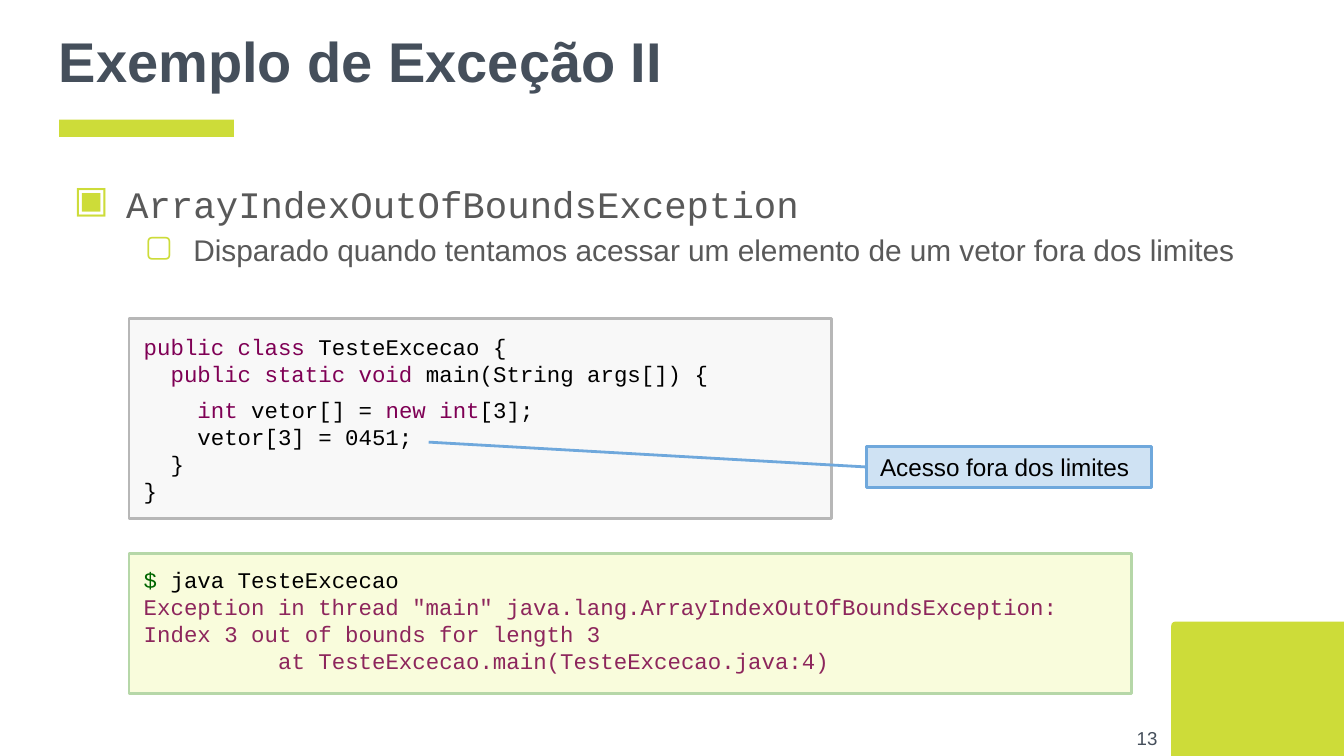
import pptx
import pptx.dml.color
import pptx.enum.shapes
import pptx.enum.text
import pptx.oxml.ns
import pptx.util
from lxml import etree

Inches = pptx.util.Inches
Pt = pptx.util.Pt
RGBColor = pptx.dml.color.RGBColor
Shapes = pptx.enum.shapes.MSO_SHAPE
Anchor = pptx.enum.text.MSO_ANCHOR
Align = pptx.enum.text.PP_ALIGN
qn = pptx.oxml.ns.qn

LIME = RGBColor(0xCD, 0xDC, 0x39)
SLATE = RGBColor(0x45, 0x4F, 0x5B)
GRAY = RGBColor(0x59, 0x59, 0x59)
BLACK = RGBColor(0, 0, 0)
KEYWORD = RGBColor(0x7F, 0x00, 0x55)
PROMPT = RGBColor(0x00, 0x66, 0x00)
ERROR = RGBColor(0x8D, 0x26, 0x5C)
CODE_FILL = RGBColor(0xF8, 0xF8, 0xF8)
CODE_BORDER = RGBColor(0xB7, 0xB7, 0xB7)
CONSOLE_FILL = RGBColor(0xF9, 0xFC, 0xDC)
CONSOLE_BORDER = RGBColor(0xB6, 0xD7, 0xA8)
CALLOUT_FILL = RGBColor(0xCF, 0xE2, 0xF3)
CALLOUT_BORDER = RGBColor(0x6F, 0xA8, 0xDC)

SANS = "Arial"
MONO = "Courier New"

CODE = [
    [("public class", KEYWORD), (" TesteExcecao {", BLACK)],
    [("  ", BLACK), ("public static void", KEYWORD), (" main(String args[]) {", BLACK)],
    [("    ", BLACK), ("int", KEYWORD), (" vetor[] = ", BLACK),
     ("new int", KEYWORD), ("[3];", BLACK)],
    [("    vetor[3] = 0451;", BLACK)],
    [("  }", BLACK)],
    [("}", BLACK)],
]
CONSOLE = [
    [("$ ", PROMPT), ("java TesteExcecao", BLACK)],
    [('Exception in thread "main" java.lang.ArrayIndexOutOfBoundsException: '
      "Index 3 out of bounds for length 3", ERROR)],
    [("\tat TesteExcecao.main(TesteExcecao.java:4)", ERROR)],
]


def set_frame(frame, anchor, side=0.1, vertical=0.1):
    frame.word_wrap = True
    frame.vertical_anchor = anchor
    frame.margin_left = frame.margin_right = Inches(side)
    frame.margin_top = frame.margin_bottom = Inches(vertical)


def write(paragraph, pieces, size, font):
    """Fill a paragraph with (text, colour) pieces."""
    paragraph.alignment = Align.LEFT
    for text, color in pieces:
        run = paragraph.add_run()
        run.text = text
        run.font.size = Pt(size)
        run.font.name = font
        run.font.color.rgb = color


def add_paragraphs(frame, lines, size, font):
    for number, pieces in enumerate(lines):
        paragraph = frame.add_paragraph() if number else frame.paragraphs[0]
        write(paragraph, pieces, size, font)


def add_text(slide, left, top, width, height, anchor=Anchor.MIDDLE):
    box = slide.shapes.add_textbox(
        Inches(left), Inches(top), Inches(width), Inches(height))
    set_frame(box.text_frame, anchor)
    return box.text_frame


def add_block(slide, kind, left, top, width, height, fill, border=None, weight=1.44):
    block = slide.shapes.add_shape(
        kind, Inches(left), Inches(top), Inches(width), Inches(height))
    block.shadow.inherit = False
    block.fill.solid()
    block.fill.fore_color.rgb = fill
    if border is None:
        block.line.fill.background()
    else:
        block.line.color.rgb = border
        block.line.width = Pt(weight)
    return block


def add_listing(slide, top, width, height, fill, border, lines):
    listing = add_block(slide, Shapes.RECTANGLE, 0.96, top, width, height, fill, border)
    set_frame(listing.text_frame, Anchor.MIDDLE, 0.11, 0.06)
    add_paragraphs(listing.text_frame, lines, 12, MONO)
    return listing.text_frame.paragraphs


def set_bullet(paragraph, symbol, margin, indent):
    paragraph.line_spacing = 1.15
    properties = paragraph._p.get_or_add_pPr()
    properties.set("marL", str(Inches(margin)))
    properties.set("indent", str(Inches(indent)))
    color = etree.SubElement(properties, qn("a:buClr"))
    etree.SubElement(color, qn("a:srgbClr")).set("val", str(LIME))
    etree.SubElement(properties, qn("a:buChar")).set("char", symbol)


def set_tab_stop(paragraph, position):
    stops = etree.SubElement(paragraph._p.get_or_add_pPr(), qn("a:tabLst"))
    stop = etree.SubElement(stops, qn("a:tab"))
    stop.set("pos", str(Inches(position)))
    stop.set("algn", "l")


def add_decoration(slide):
    corner = add_block(slide, Shapes.ROUND_1_RECTANGLE, 8.86, 4.48, 1.01, 1.3, LIME)
    corner.adjustments[0] = 0.03
    corner.rotation = 270
    add_block(slide, Shapes.RECTANGLE, 0.44, 0.89, 1.3, 0.13, LIME)


def add_title(slide):
    title = add_text(slide, 0.34, 0, 9.32, 0.89).paragraphs[0]
    write(title, [("Exemplo de Exceção II", SLATE)], 30, SANS)
    title.runs[0].font.bold = True


def add_topic(slide):
    body = add_text(slide, 0.34, 1.2, 9.32, 1.17, Anchor.TOP)
    exception = body.paragraphs[0]
    write(exception, [("ArrayIndexOutOfBoundsException", GRAY)], 20, MONO)
    set_bullet(exception, "▣", 0.5, -0.39)
    cause = body.add_paragraph()
    cause.level = 1
    write(cause, [("Disparado quando tentamos acessar um elemento "
                   "de um vetor fora dos limites", GRAY)], 16, SANS)
    set_bullet(cause, "▢", 1, -0.36)


def add_page_number(slide):
    number = add_text(slide, 8.11, 5.28, 0.6, 0.43).paragraphs[0]
    write(number, [("13", SLATE)], 10, SANS)
    number.alignment = Align.RIGHT


def add_callout(slide):
    callout = add_block(slide, Shapes.RECTANGLE, 6.45, 3.32, 2.12, 0.31,
                        CALLOUT_FILL, CALLOUT_BORDER, 1.5)
    set_frame(callout.text_frame, Anchor.MIDDLE)
    add_paragraphs(callout.text_frame, [[("Acesso fora dos limites", BLACK)]], 13, SANS)
    pointer = slide.shapes.add_connector(
        pptx.enum.shapes.MSO_CONNECTOR.STRAIGHT,
        Inches(3.19), Inches(3.29), Inches(6.45), Inches(3.48))
    pointer.end_connect(callout, 1)
    pointer.line.color.rgb = CALLOUT_BORDER
    pointer.line.width = Pt(1.5)
    etree.SubElement(pointer._element.spPr, qn("a:effectLst"))


def main():
    presentation = pptx.Presentation()
    presentation.slide_width = Inches(10)
    presentation.slide_height = Inches(10) * 9 // 16
    slide = presentation.slides.add_slide(presentation.slide_layouts[6])
    add_decoration(slide)
    add_title(slide)
    add_topic(slide)
    add_page_number(slide)
    code = add_listing(slide, 2.37, 5.23, 1.49, CODE_FILL, CODE_BORDER, CODE)
    code[2].space_before = Pt(5)
    console = add_listing(slide, 4.12, 7.46, 1.04, CONSOLE_FILL, CONSOLE_BORDER, CONSOLE)
    console[0].line_spacing = 0.7
    console[1].space_before = Pt(0.6)
    set_tab_stop(console[2], 1)
    add_callout(slide)
    presentation.save("out.pptx")


if __name__ == "__main__":
    main()
